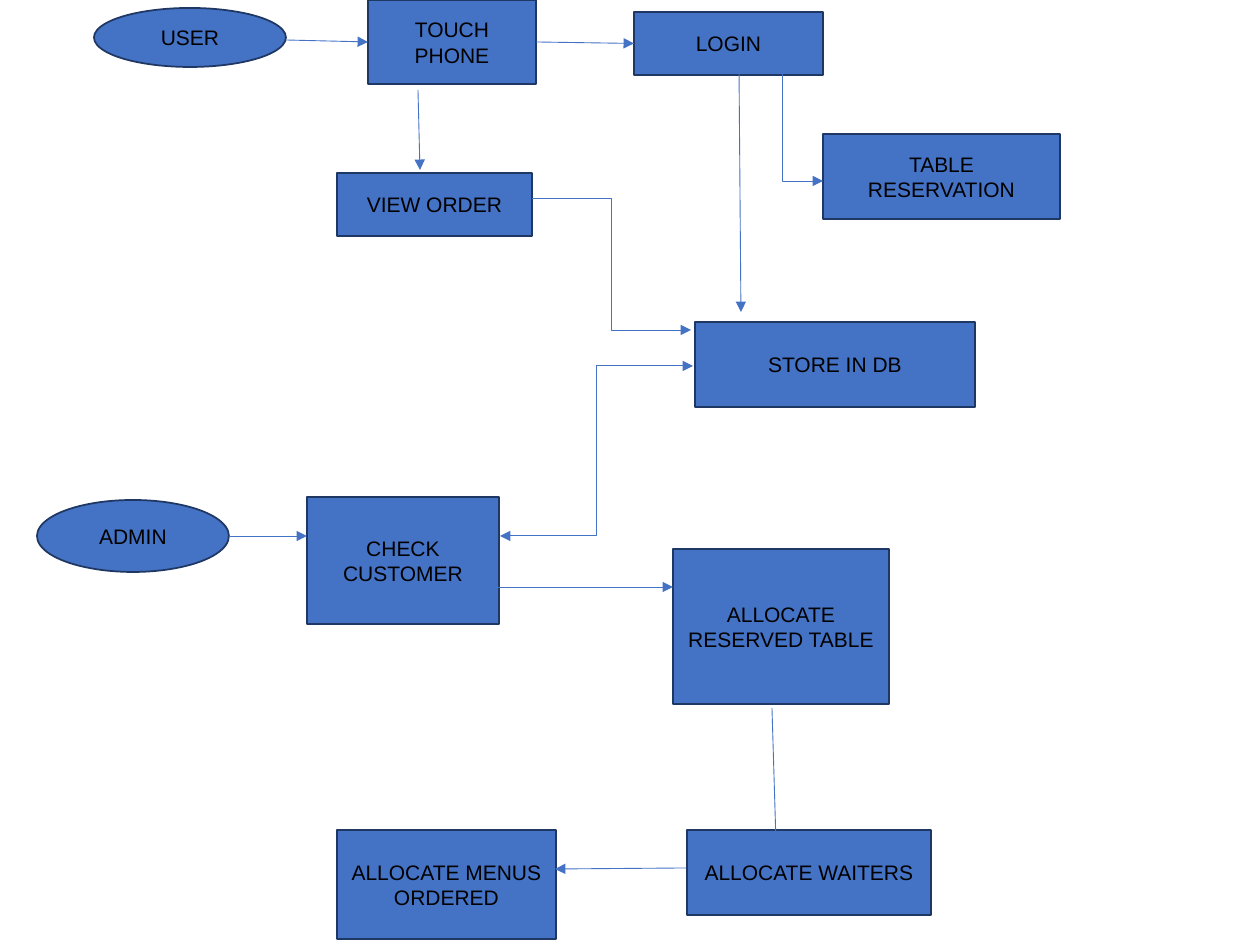
from dataclasses import dataclass

from lxml.etree import SubElement
from pptx import Presentation
from pptx.dml.color import RGBColor
from pptx.enum.shapes import MSO_CONNECTOR, MSO_SHAPE
from pptx.enum.text import MSO_ANCHOR, PP_ALIGN
from pptx.oxml.ns import qn
from pptx.util import Pt

SCALE = 914400 / 126
LEFT, RIGHT = 1, 3


@dataclass(frozen=True)
class Theme:
    fill: RGBColor = RGBColor(0x44, 0x72, 0xC4)
    edge: RGBColor = RGBColor(0x1F, 0x37, 0x63)
    text: RGBColor = RGBColor(0, 0, 0)
    font: str = "Arial"
    size: float = 12
    border: float = 1
    wire: float = 0.5


THEME = Theme()

# label: left, top, width, height
BOXES = {
    "TOUCH PHONE": (368, 0, 168, 84),
    "LOGIN": (634, 12, 189, 63),
    "TABLE RESERVATION": (823, 134, 237, 85),
    "VIEW ORDER": (337, 173, 195, 63),
    "STORE IN DB": (695, 322, 280, 85),
    "CHECK CUSTOMER": (307, 497, 192, 127),
    "ALLOCATE RESERVED TABLE": (673, 549, 216, 155),
    "ALLOCATE MENUS ORDERED": (337, 830, 219, 109),
    "ALLOCATE WAITERS": (687, 830, 244, 85),
}
OVALS = {
    "USER": (94, 8, 192, 59),
    "ADMIN": (37, 500, 192, 72),
}

# x1, y1, x2, y2
ARROWS = [
    (739, 66, 741, 312),   # login to store
    (418, 90, 420, 170),   # phone to view order
    (495, 587, 673, 587),  # check to reserved table
    (686, 868, 555, 869),  # waiters to menus
    (772, 708, 776, 842),  # reserved table to waiters
    (229, 536, 307, 536),  # admin to check
]
ELBOWS = [
    (742, 68, 823, 181),   # login to table reservation
    (532, 198, 691, 330),  # view order to store
]


def px(n):
    return round(n * SCALE)


def add_node(slide, kind, label, area):
    node = slide.shapes.add_shape(kind, *map(px, area))
    node.shadow.inherit = False
    node.fill.solid()
    node.fill.fore_color.rgb = THEME.fill
    node.line.color.rgb = THEME.edge
    node.line.width = Pt(THEME.border)
    frame = node.text_frame
    frame.word_wrap = True
    frame.vertical_anchor = MSO_ANCHOR.MIDDLE
    para = frame.paragraphs[0]
    para.alignment = PP_ALIGN.CENTER
    run = para.add_run()
    run.text = label
    run.font.name = THEME.font
    run.font.size = Pt(THEME.size)
    run.font.color.rgb = THEME.text
    return node


def add_arrow(slide, ends, kind=MSO_CONNECTOR.STRAIGHT, both=False):
    """Draw a wire with a head at its end, or at both ends."""
    wire = slide.shapes.add_connector(kind, *map(px, ends))
    wire.line.color.rgb = THEME.fill
    wire.line.width = Pt(THEME.wire)
    line = wire.line._get_or_add_ln()
    for tag in ("a:headEnd", "a:tailEnd") if both else ("a:tailEnd",):
        SubElement(line, qn(tag), type="triangle")
    SubElement(wire._element.spPr, qn("a:effectLst"))
    return wire


def main():
    deck = Presentation()
    deck.slide_width, deck.slide_height = px(1260), px(945)
    slide = deck.slides.add_slide(deck.slide_layouts[6])

    nodes = {}
    for kind, group in ((MSO_SHAPE.RECTANGLE, BOXES), (MSO_SHAPE.OVAL, OVALS)):
        for label, area in group.items():
            nodes[label] = add_node(slide, kind, label, area)

    for ends in ARROWS:
        add_arrow(slide, ends)
    for ends in ELBOWS:
        add_arrow(slide, ends, MSO_CONNECTOR.ELBOW)
    add_arrow(slide, (500, 536, 693, 366), MSO_CONNECTOR.ELBOW, both=True)

    phone, login = nodes["TOUCH PHONE"], nodes["LOGIN"]
    add_arrow(slide, (286, 40, 368, 40)).end_connect(phone, LEFT)
    wire = add_arrow(slide, (536, 42, 634, 43))
    wire.begin_connect(phone, RIGHT)
    wire.end_connect(login, LEFT)

    deck.save("out.pptx")


if __name__ == "__main__":
    main()
